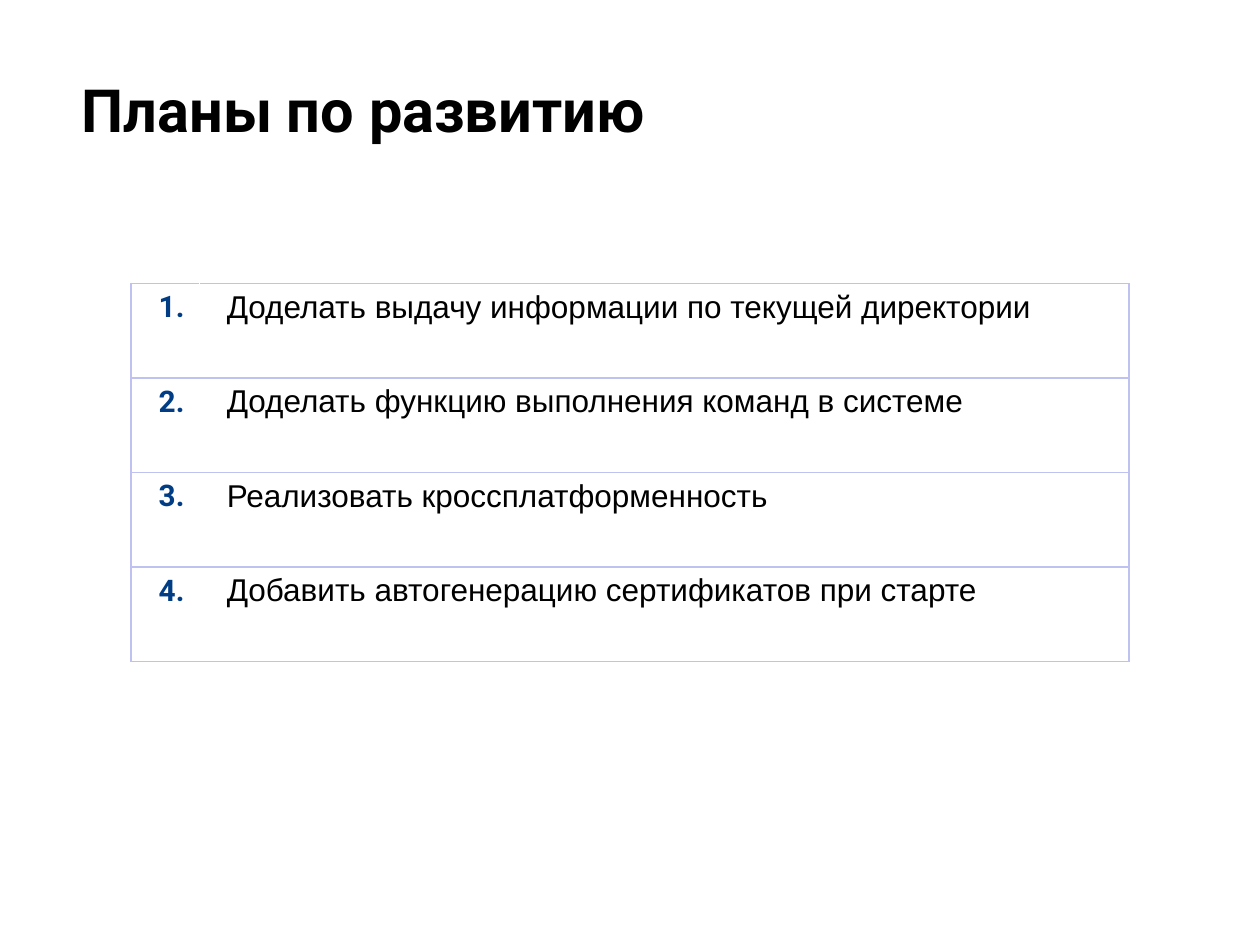
from pptx import Presentation
from pptx.dml.color import RGBColor
from pptx.enum.text import MSO_ANCHOR
from pptx.oxml.ns import qn
from pptx.util import Inches, Pt
from lxml.etree import SubElement

BLACK = RGBColor(0x00, 0x00, 0x00)
WHITE = RGBColor(0xFF, 0xFF, 0xFF)
NAVY = RGBColor(0x01, 0x3D, 0x85)
LAVENDER = RGBColor(0xBF, 0xC1, 0xF0)

PLANS = [
    "Доделать выдачу информации по текущей директории",
    "Доделать функцию выполнения команд в системе",
    "Реализовать кроссплатформенность",
    "Добавить автогенерацию сертификатов при старте",
]
NUMBER_WIDTH, PLAN_WIDTH, ROW_HEIGHT = 0.54, 7.38, 0.75


def style_text(paragraph, size, font_name, color, bold):
    font = paragraph.font
    font.size, font.name, font.bold = Pt(size), font_name, bold
    font.color.rgb = color


def add_title(slide, text):
    title = slide.shapes.add_textbox(Inches(0.55), Inches(0.48), Inches(9.32), Inches(1.43))
    frame = title.text_frame
    frame.word_wrap = True
    frame.margin_left = frame.margin_right = Inches(0.1)
    frame.margin_top = frame.margin_bottom = Inches(0.1)
    frame.text = text
    style_text(frame.paragraphs[0], 34, "Roboto", BLACK, True)


def set_borders(cell, left, right):
    properties = cell._tc.get_or_add_tcPr()
    sides = {"a:lnL": left, "a:lnR": right, "a:lnT": LAVENDER, "a:lnB": LAVENDER}
    for side, color in sides.items():
        line = SubElement(properties, qn(side), w=str(Pt(0.75)))
        fill = SubElement(line, qn("a:solidFill"))
        SubElement(fill, qn("a:srgbClr"), val=str(color))


def fill_cell(cell, text, size, font_name, color, bold, left, right):
    cell.text = text
    cell.margin_left, cell.margin_right = Inches(0.22), Inches(0.1)
    cell.margin_top = cell.margin_bottom = Inches(0.05)
    cell.vertical_anchor = MSO_ANCHOR.TOP
    style_text(cell.text_frame.paragraphs[0], size, font_name, color, bold)
    set_borders(cell, left, right)
    cell.fill.background()


def add_plan_table(slide, plans):
    table = slide.shapes.add_table(
        len(plans), 2, Inches(1.04), Inches(2.25),
        Inches(NUMBER_WIDTH + PLAN_WIDTH), Inches(ROW_HEIGHT * len(plans)),
    ).table
    table.first_row = table.horz_banding = False
    table.columns[0].width = Inches(NUMBER_WIDTH)
    table.columns[1].width = Inches(PLAN_WIDTH)
    for index, plan in enumerate(plans):
        table.rows[index].height = Inches(ROW_HEIGHT)
        fill_cell(table.cell(index, 0), f"{index + 1}.", 17, "Roboto", NAVY, True,
                  LAVENDER, WHITE)
        fill_cell(table.cell(index, 1), plan, 18, "Arial", BLACK, False,
                  WHITE, LAVENDER)


def main():
    presentation = Presentation()
    presentation.slide_width, presentation.slide_height = Inches(10), Inches(7.5)
    slide = presentation.slides.add_slide(presentation.slide_layouts[6])

    # Heading
    add_title(slide, "Планы по развитию")

    # Numbered plans
    add_plan_table(slide, PLANS)

    presentation.save("out.pptx")


if __name__ == "__main__":
    main()
